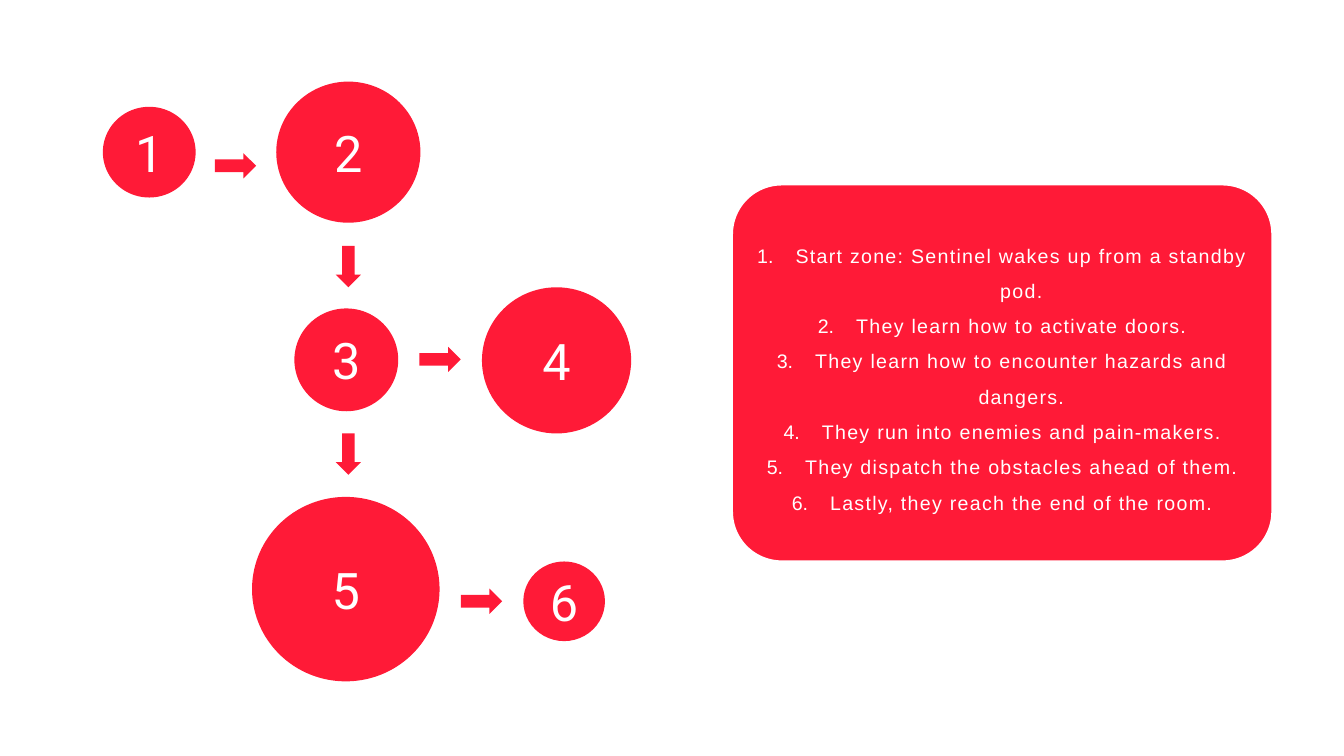
from dataclasses import dataclass

from lxml import etree
from pptx import Presentation
from pptx.dml.color import RGBColor
from pptx.enum.shapes import MSO_SHAPE
from pptx.enum.text import MSO_ANCHOR, MSO_AUTO_SIZE, PP_ALIGN
from pptx.oxml.ns import qn
from pptx.slide import Slide
from pptx.util import Inches, Pt

RED = RGBColor(0xFF, 0x1A, 0x37)
WHITE = RGBColor(0xFF, 0xFF, 0xFF)

ELLIPSE = MSO_SHAPE.OVAL
ARROW = MSO_SHAPE.RIGHT_ARROW
CENTER = PP_ALIGN.CENTER
MIDDLE = MSO_ANCHOR.MIDDLE
NO_AUTOFIT = MSO_AUTO_SIZE.NONE

TITLE_AND_CONTENT = 1
ARROW_WIDTH, ARROW_HEIGHT = 0.41, 0.25
LIST_INDENT = Inches(0.38)


@dataclass(frozen=True)
class Zone:
    left: float
    top: float
    width: float
    height: float


@dataclass(frozen=True)
class Step:
    left: float
    top: float
    rotation: int = 0


ZONES = [
    Zone(1.02, 1.06, 0.92, 0.90),
    Zone(2.74, 0.81, 1.43, 1.40),
    Zone(2.92, 3.06, 1.03, 1.02),
    Zone(4.78, 2.85, 1.48, 1.45),
    Zone(2.50, 4.93, 1.86, 1.83),
    Zone(5.19, 5.57, 0.81, 0.79),
]

STEPS = [
    Step(2.13, 1.52),
    Step(3.25, 2.52, 90),
    Step(4.16, 3.44),
    Step(3.25, 4.38, 90),
    Step(4.57, 5.84),
]

EVENTS = [
    "Start zone: Sentinel wakes up from a standby pod.",
    "They learn how to activate doors.",
    "They learn how to encounter hazards and dangers.",
    "They run into enemies and pain-makers.",
    "They dispatch the obstacles ahead of them.",
    "Lastly, they reach the end of the room.",
]


def add_red_shape(slide: Slide, kind: MSO_SHAPE, left: float, top: float,
                  width: float, height: float):
    shape = slide.shapes.add_shape(
        kind, Inches(left), Inches(top), Inches(width), Inches(height))
    shape.shadow.inherit = False
    shape.fill.solid()
    shape.fill.fore_color.rgb = RED
    shape.line.fill.background()
    return shape


def add_zone(slide: Slide, number: int, zone: Zone) -> None:
    circle = add_red_shape(slide, ELLIPSE, zone.left, zone.top, zone.width, zone.height)
    circle.text_frame.vertical_anchor = MIDDLE
    paragraph = circle.text_frame.paragraphs[0]
    paragraph.alignment = CENTER
    digit = paragraph.add_run()
    digit.text = str(number)
    digit.font.name = "Roboto"
    digit.font.size = Pt(36)
    digit.font.color.rgb = WHITE


def add_step(slide: Slide, step: Step) -> None:
    arrow = add_red_shape(slide, ARROW, step.left, step.top, ARROW_WIDTH, ARROW_HEIGHT)
    arrow.rotation = step.rotation


def round_corners(placeholder, adjustment: int) -> None:
    """Give a placeholder a rounded outline; adjustment is in 1/100000."""
    geometry = etree.SubElement(placeholder._element.spPr, qn("a:prstGeom"), prst="roundRect")
    guides = etree.SubElement(geometry, qn("a:avLst"))
    etree.SubElement(guides, qn("a:gd"), name="adj", fmla=f"val {adjustment}")


def add_event(paragraph, event: str) -> None:
    properties = paragraph._p.get_or_add_pPr()
    properties.set("marL", str(LIST_INDENT))
    properties.set("indent", str(-LIST_INDENT))
    etree.SubElement(properties, qn("a:buAutoNum"), type="arabicPeriod")
    paragraph.alignment = CENTER
    paragraph.line_spacing = 1.5
    paragraph.space_before = Pt(0)
    sentence = paragraph.add_run()
    sentence.text = event
    sentence.font.name = "Arial"
    sentence.font.size = Pt(14)
    sentence.font.color.rgb = WHITE
    sentence._r.get_or_add_rPr().set("spc", "90")


def fill_event_panel(slide: Slide) -> None:
    panel = slide.placeholders[1]
    panel.left, panel.top = Inches(7.26), Inches(1.83)
    panel.width, panel.height = Inches(5.36), Inches(3.74)
    round_corners(panel, 13200)
    panel.fill.solid()
    panel.fill.fore_color.rgb = RED
    panel.line.color.rgb = WHITE
    panel.line.width = Pt(1.5)

    frame = panel.text_frame
    frame.auto_size = NO_AUTOFIT
    frame.word_wrap = True
    frame.vertical_anchor = MIDDLE
    for index, event in enumerate(EVENTS):
        add_event(frame.add_paragraph() if index else frame.paragraphs[0], event)


def main() -> None:
    presentation = Presentation()
    presentation.slide_width = Inches(13.33)
    presentation.slide_height = Inches(7.5)
    slide = presentation.slides.add_slide(presentation.slide_layouts[TITLE_AND_CONTENT])
    unused_title = slide.shapes.title._element
    unused_title.getparent().remove(unused_title)

    for number, zone in enumerate(ZONES, start=1):
        add_zone(slide, number, zone)
    for step in STEPS:
        add_step(slide, step)
    fill_event_panel(slide)
    presentation.save("out.pptx")


if __name__ == "__main__":
    main()
